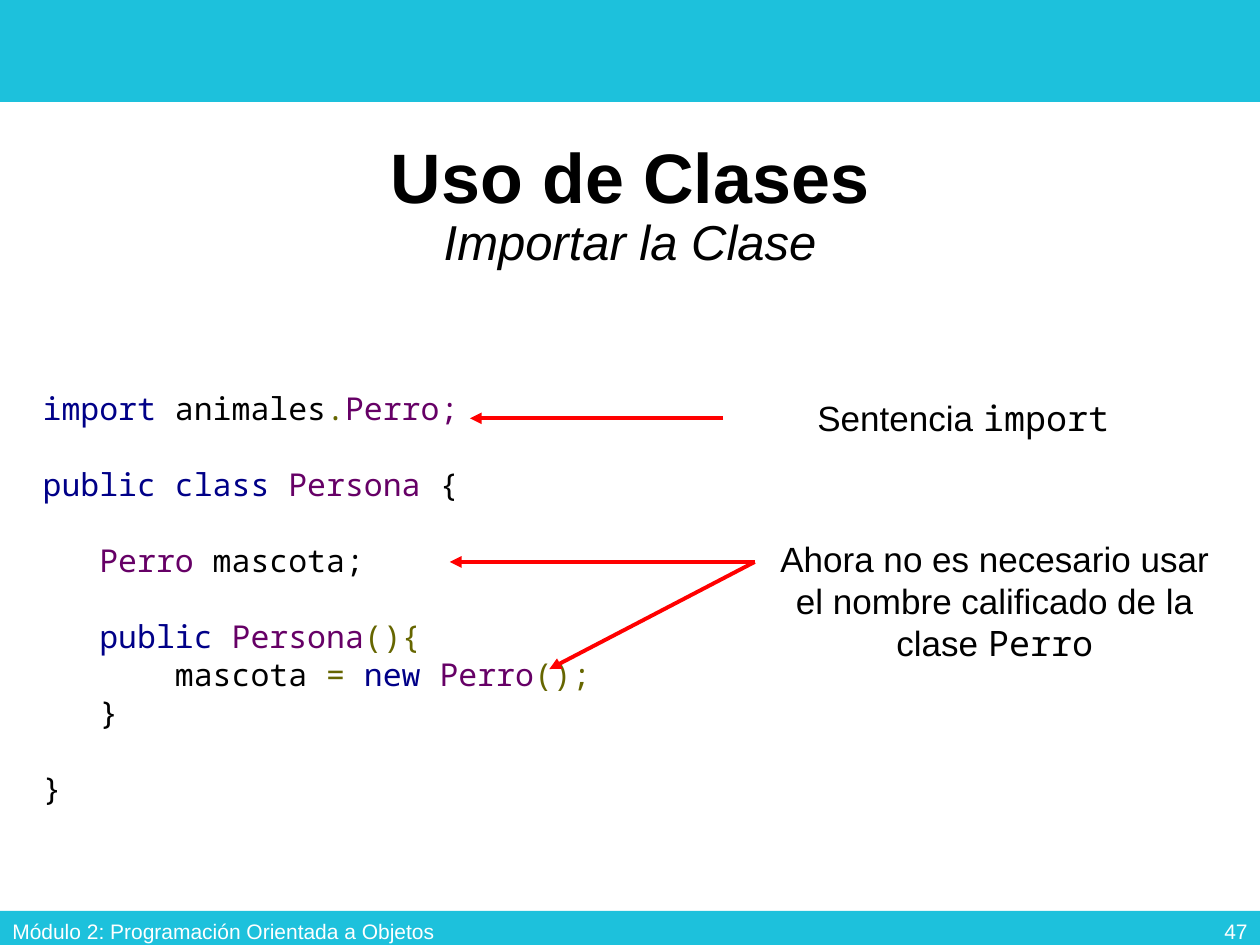
from dataclasses import dataclass

from lxml.etree import SubElement
from pptx import Presentation
from pptx.dml.color import RGBColor
from pptx.enum.shapes import MSO_CONNECTOR, MSO_SHAPE
from pptx.enum.text import MSO_ANCHOR, MSO_AUTO_SIZE, PP_ALIGN
from pptx.oxml.ns import qn
from pptx.util import Inches, Pt

COLUMNS, ROWS = 100, 75  # grid laid over the whole slide


@dataclass(frozen=True)
class Theme:
    sans: str = "Arial"
    mono: str = "Noto Sans Mono"
    band: str = "1DC1DC"
    light: str = "FFFFFF"
    text: str = "000000"
    arrow: str = "FF0000"
    keyword: str = "000088"
    type_name: str = "660066"
    symbol: str = "666600"
    title_size: float = 40
    subtitle_size: float = 28
    note_size: float = 20
    code_size: float = 18
    code_line: float = 21.8
    footer_size: float = 12
    arrow_width: float = 2.25


THEME = Theme()


@dataclass(frozen=True)
class Box:
    """A region in grid columns and rows."""
    left: float
    top: float
    width: float
    height: float

    def inner(self, left, top, width, height):
        return Box(self.left + left, self.top + top, width, height)

    def point(self, column, row):
        return cell(self.left + column), cell(self.top + row)

    def lengths(self):
        return [cell(n) for n in (self.left, self.top, self.width, self.height)]


def cell(count):
    return Inches(count * 10 / COLUMNS)


def style(run, size, color, font=THEME.sans, bold=False, italic=False):
    run.font.name, run.font.size = font, Pt(size)
    run.font.color.rgb = RGBColor.from_string(color)
    run.font.bold, run.font.italic = bold, italic


def add_run(paragraph, text, *look):
    run = paragraph.add_run()
    run.text = text
    style(run, *look)


def add_text(slide, box, anchor=MSO_ANCHOR.TOP, align=PP_ALIGN.LEFT):
    frame = slide.shapes.add_textbox(*box.lengths()).text_frame
    frame.word_wrap = True
    frame.vertical_anchor = anchor
    frame.paragraphs[0].alignment = align
    return frame


def add_band(slide, box):
    band = slide.shapes.add_shape(MSO_SHAPE.RECTANGLE, *box.lengths())
    band.shadow.inherit = False
    band.fill.solid()
    band.fill.fore_color.rgb = RGBColor.from_string(THEME.band)
    band.line.fill.background()


def add_arrow(slide, start, end):
    arrow = slide.shapes.add_connector(MSO_CONNECTOR.STRAIGHT, *start, *end)
    arrow.line.color.rgb = RGBColor.from_string(THEME.arrow)
    arrow.line.width = Pt(THEME.arrow_width)
    properties = arrow.element.spPr
    SubElement(properties.find(qn("a:ln")), qn("a:tailEnd"), type="triangle")
    SubElement(properties, qn("a:effectLst"))


def add_title(slide, box):
    title = slide.shapes.title
    title.left, title.top, title.width, title.height = box.lengths()
    frame = title.text_frame
    frame.text = "Uso de Clases\vImportar la Clase"
    frame.auto_size = MSO_AUTO_SIZE.NONE
    frame.vertical_anchor = MSO_ANCHOR.MIDDLE
    paragraph = frame.paragraphs[0]
    paragraph.alignment, paragraph.line_spacing = PP_ALIGN.CENTER, 0.9
    heading, subtitle = paragraph.runs
    style(heading, THEME.title_size, THEME.text, THEME.sans, True)
    style(subtitle, THEME.subtitle_size, THEME.text, THEME.sans, False, True)


def add_footer(slide, box):
    add_band(slide, box)
    number_width = 22.5
    entries = [
        ("Módulo 2: Programación Orientada a Objetos", 0, 37.3, PP_ALIGN.LEFT),
        ("47", box.width - number_width, number_width, PP_ALIGN.RIGHT),
    ]
    for text, left, width, align in entries:
        frame = add_text(slide, box.inner(left, -0.4, width, 4), MSO_ANCHOR.MIDDLE, align)
        add_run(frame.paragraphs[0], text, THEME.footer_size, THEME.light)


def add_code(slide, box):
    plain, keyword = THEME.text, THEME.keyword
    type_name, symbol = THEME.type_name, THEME.symbol
    # Each line: blank line above or not, then its coloured tokens
    lines = [
        (False, [("import ", keyword), ("animales", plain), (".", symbol), ("Perro;", type_name)]),
        (True, [("public class ", keyword), ("Persona", type_name), (" {", plain)]),
        (True, [("   Perro", type_name), (" mascota;", plain)]),
        (True, [("   public ", keyword), ("Persona", type_name), ("(){", symbol)]),
        (False, [("       mascota ", plain), ("= ", symbol), ("new ", keyword),
                 ("Perro", type_name), ("();", symbol)]),
        (False, [("   }", plain)]),
        (True, [("}", plain)]),
    ]
    frame = add_text(slide, box)
    for index, (gap, tokens) in enumerate(lines):
        paragraph = frame.add_paragraph() if index else frame.paragraphs[0]
        if gap:
            paragraph.space_before = Pt(THEME.code_line)
        for text, color in tokens:
            add_run(paragraph, text, THEME.code_size, color, THEME.mono)


def add_note(slide, box, text, code, arrows):
    """A note and its arrows, each given as start and end from the box corner."""
    paragraph = add_text(slide, box, align=PP_ALIGN.CENTER).paragraphs[0]
    add_run(paragraph, text, THEME.note_size, THEME.text)
    add_run(paragraph, code, THEME.note_size, THEME.text, THEME.mono)
    for start, end in arrows:
        add_arrow(slide, box.point(*start), box.point(*end))


def main():
    presentation = Presentation()
    presentation.slide_width, presentation.slide_height = cell(COLUMNS), cell(ROWS)
    slide = presentation.slides.add_slide(presentation.slide_layouts[5])

    # Header and title
    add_band(slide, Box(0, 0, COLUMNS, 8.1))
    add_title(slide, Box(6.9, 9.8, 86.2, 13.3))

    # Code listing with its notes
    add_code(slide, Box(2.4, 30.4, 50, 34.3))
    add_note(slide, Box(57.4, 31, 38.1, 4.4), "Sentencia ", "import",
             [((0, 2.2), (-20.1, 2.2))])
    corner = (0, 2.4)
    add_note(slide, Box(59.9, 42.2, 38.1, 11.1),
             "Ahora no es necesario usar el nombre calificado de la clase ", "Perro",
             [(corner, (-24.2, 2.4)), (corner, (-16.3, 10.9))])

    # Footer
    add_footer(slide, Box(0, 72.3, COLUMNS, ROWS - 72.3))
    presentation.save("out.pptx")


if __name__ == "__main__":
    main()
